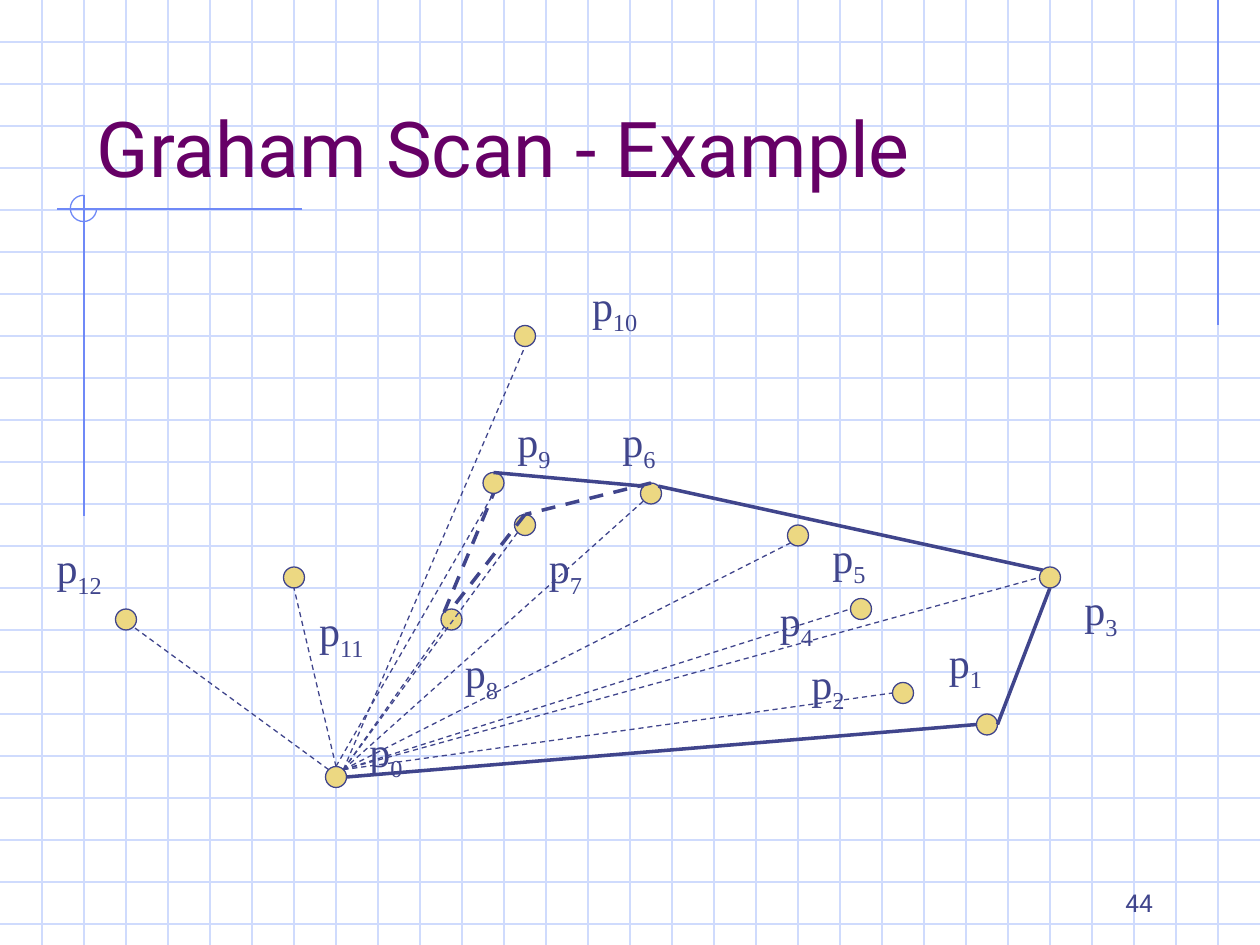
from pptx import Presentation
from pptx.dml.color import RGBColor
from pptx.enum.dml import MSO_LINE
from pptx.enum.shapes import MSO_CONNECTOR, MSO_SHAPE
from pptx.enum.text import MSO_ANCHOR, MSO_AUTO_SIZE, PP_ALIGN
from pptx.oxml.ns import qn
from pptx.util import Emu, Pt

PX = 7620  # 120 px to the inch
WIDTH, HEIGHT, GRID, DOT = 1200, 900, 40, 20
INK, GOLD, PLUM, PALE, BLUE = "40458C", "ECD882", "660066", "CFDBFD", "6F89F7"


def px(*lengths):
    return [Emu(length * PX) for length in lengths]


def draw_line(start, end, color, width=0.75, dashed=False):
    line = shapes.add_connector(MSO_CONNECTOR.STRAIGHT, *px(*start, *end))
    line.line.color.rgb = RGBColor.from_string(color)
    line.line.width = Pt(width)
    if dashed:
        line.line.dash_style = MSO_LINE.DASH
    properties = line._element.spPr
    properties.append(properties.makeelement(qn("a:effectLst"), {}))


prs = Presentation()
prs.slide_width, prs.slide_height = px(WIDTH, HEIGHT)
slide = prs.slides.add_slide(prs.slide_layouts[5])
shapes = slide.shapes

# Graph paper and corner ornaments
for y in range(GRID, HEIGHT, GRID):
    draw_line((0, y), (WIDTH, y), PALE)
for x in range(GRID, WIDTH, GRID):
    draw_line((x, 0), (x, HEIGHT), PALE)
draw_line((1160, 0), (1160, 310), BLUE)
draw_line((288, 199), (54, 199), BLUE)
draw_line((80, 186), (80, 491), BLUE)
arc = shapes.add_shape(MSO_SHAPE.ARC, *px(67, 186, 25, 25))
arc.adjustments[0] = 0
arc.adjustments[1] = 162  # 270 degrees
arc.fill.background()
arc.line.color.rgb = RGBColor.from_string(BLUE)
arc.line.width = Pt(0.75)
arc.shadow.inherit = False

# Title, lifted above the graph paper
title = shapes.title
title.left, title.top, title.width, title.height = px(80, 40, 1020, 150)
shapes._spTree.append(title._element)
title.text_frame.vertical_anchor = MSO_ANCHOR.BOTTOM
heading = title.text_frame.paragraphs[0]
heading.alignment = PP_ALIGN.LEFT
run = heading.add_run()
run.text = "Graham Scan - Example"
run.font.size = Pt(44)
run.font.name = "Roboto"
run.font.color.rgb = RGBColor.from_string(PLUM)

# Point number: (centre of the dot, top left of the label)
points = {
    0: ((320, 740), (340, 685)),
    1: ((940, 690), (892, 600)),
    2: ((860, 660), (761, 620)),
    3: ((1000, 550), (1021, 550)),
    4: ((820, 580), (731, 560)),
    5: ((760, 510), (781, 500)),
    6: ((620, 470), (581, 390)),
    7: ((500, 500), (511, 510)),
    8: ((430, 590), (431, 610)),
    9: ((470, 460), (481, 390)),
    10: ((500, 320), (552, 260)),
    11: ((280, 550), (292, 570)),
    12: ((120, 590), (42, 510)),
}
for number, (center, corner) in points.items():
    dot = shapes.add_shape(
        MSO_SHAPE.FLOWCHART_CONNECTOR,
        *px(center[0] - DOT // 2, center[1] - DOT // 2, DOT, DOT))
    dot.fill.solid()
    dot.fill.fore_color.rgb = RGBColor.from_string(GOLD)
    dot.line.color.rgb = RGBColor.from_string(INK)
    dot.line.width = Pt(0.75)
    dot.shadow.inherit = False

    label = shapes.add_textbox(*px(*corner, 58 if number < 10 else 68, 67))
    label.text_frame.word_wrap = False
    label.text_frame.auto_size = MSO_AUTO_SIZE.SHAPE_TO_FIT_TEXT
    for text in ("p", str(number)):
        run = label.text_frame.paragraphs[0].add_run()
        run.text = text
        run.font.size = Pt(24)
        run.font.name = "Times New Roman"
        run.font.color.rgb = RGBColor.from_string(INK)
    run.font._element.set("baseline", "-25000")

# Places on the rim of a dot, as offsets from its centre
rim = {
    "top": (0, -10), "bottom": (0, 10), "left": (-10, 0), "right": (10, 0),
    "top left": (-7, -7), "top right": (7, -7),
    "bottom left": (-7, 7), "bottom right": (7, 7),
}
# (from point, rim place, to point, rim place, width, dashed)
sight_lines = [
    (0, start, number, end, 0.75, True)
    for start, number, end in (
        ("top left", 12, "bottom right"),
        ("top", 11, "bottom"),
        ("top", 9, "bottom"),
        ("top right", 10, "bottom"),
        ("top right", 8, "bottom left"),
        ("top right", 7, "bottom left"),
        ("top right", 6, "bottom left"),
        ("top right", 5, "bottom left"),
        ("top right", 4, "left"),
        ("top right", 3, "left"),
        ("top right", 2, "left"),
    )
]
hull_edges = [
    (0, "right", 1, "left", 2, False),
    (1, "right", 3, "bottom", 2, False),
    (3, "top left", 6, "top right", 2, False),
    (6, "top", 7, "top", 2, True),
    (7, "top", 8, "top", 2, True),
    (8, "top left", 9, "bottom", 2, True),
    (6, "top left", 9, "top", 2, False),
]
for first, first_rim, second, second_rim, width, dashed in sight_lines + hull_edges:
    start, end = (
        [c + offset for c, offset in zip(points[number][0], rim[place])]
        for number, place in ((first, first_rim), (second, second_rim)))
    draw_line(start, end, INK, width, dashed)

# Page number
page_number = shapes.add_textbox(*px(860, 820, 250, 60))
page_number.text_frame.word_wrap = True
page_number.text_frame.vertical_anchor = MSO_ANCHOR.BOTTOM
paragraph = page_number.text_frame.paragraphs[0]
paragraph.alignment = PP_ALIGN.RIGHT
run = paragraph.add_run()
run.text = "44"
run.font.size = Pt(14)
run.font.name = "Roboto"
run.font.color.rgb = RGBColor.from_string(INK)

prs.save("out.pptx")
